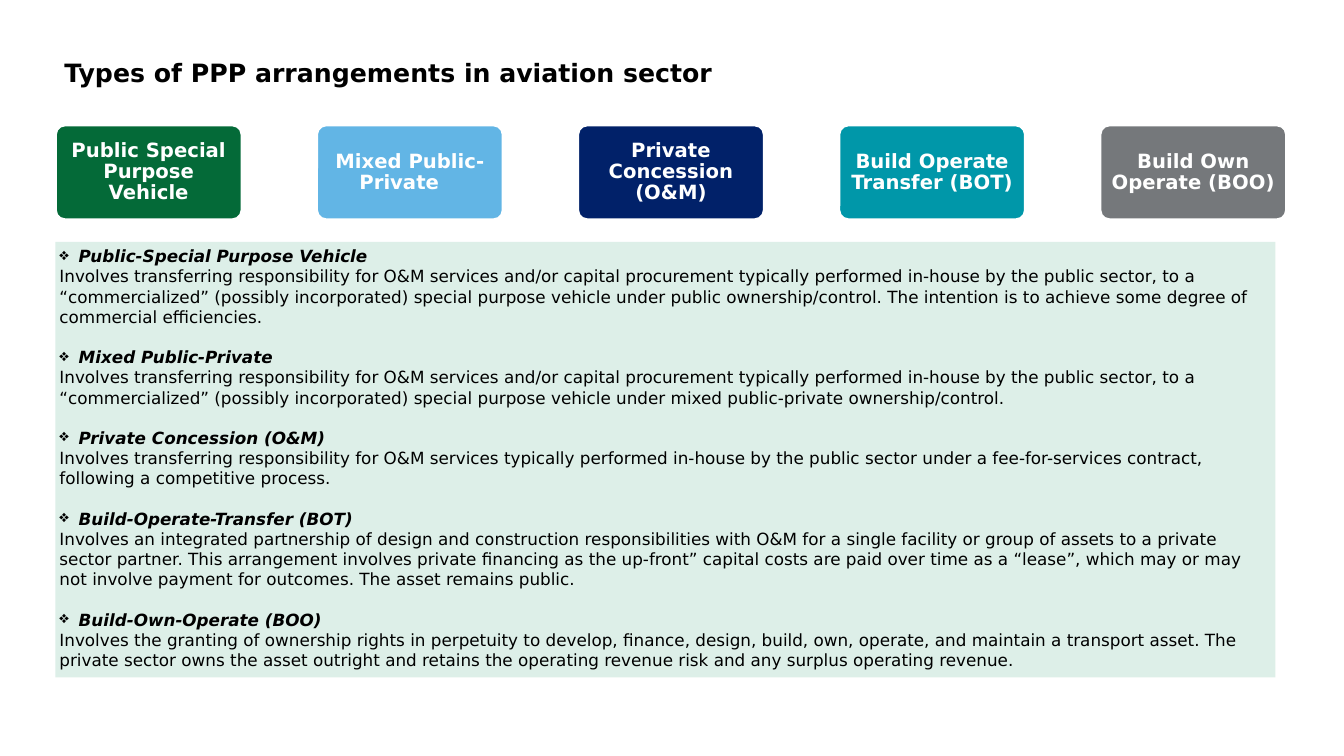
from pptx import Presentation
from pptx.dml.color import RGBColor
from pptx.enum.shapes import MSO_SHAPE
from pptx.enum.text import MSO_ANCHOR, PP_ALIGN
from pptx.util import Inches, Pt
from lxml import etree

FONT = "DejaVu Sans"


def color(value):
    return RGBColor.from_string(value)


def add_run(p, text, size, value, bold=False, italic=False):
    r = p.add_run()
    r.text = text
    r.font.name = FONT
    r.font.size = Pt(size)
    r.font.bold = bold
    r.font.italic = italic
    r.font.color.rgb = color(value)


prs = Presentation()
prs.slide_width = Inches(13.33)
prs.slide_height = Inches(7.5)
s = prs.slides.add_slide(prs.slide_layouts[6])

types = [
    ("Public Special Purpose Vehicle", "046A38"),
    ("Mixed Public-Private\t", "62B5E5"),
    ("Private Concession (O&M)", "012169"),
    ("Build Operate Transfer (BOT)", "0097A9"),
    ("Build Own Operate (BOO)", "75787B"),
]
for i, (name, fill) in enumerate(types):
    sp = s.shapes.add_shape(MSO_SHAPE.ROUNDED_RECTANGLE, Inches(0.55 + 2.59 * i),
                            Inches(1.24), Inches(1.85), Inches(0.94))
    sp.adjustments[0] = 0.1
    sp.shadow.inherit = False
    sp.fill.solid()
    sp.fill.fore_color.rgb = color(fill)
    sp.line.color.rgb = color("FFFFFF")
    sp.line.width = Pt(2)
    tf = sp.text_frame
    tf.word_wrap = True
    tf.vertical_anchor = MSO_ANCHOR.MIDDLE
    tf.margin_left = tf.margin_right = tf.margin_top = tf.margin_bottom = Inches(0.06)
    p = tf.paragraphs[0]
    p.alignment = PP_ALIGN.CENTER
    p.line_spacing = 0.9
    add_run(p, name, 14, "FFFFFF", bold=True)

sections = [
    ("Public-Special Purpose Vehicle",
     "Involves transferring responsibility for O&M services and/or capital procurement typically "
     "performed in-house by the public sector, to a “commercialized” (possibly incorporated) special "
     "purpose vehicle under public ownership/control. The intention is to achieve some degree of "
     "commercial efficiencies."),
    ("Mixed Public-Private",
     "Involves transferring responsibility for O&M services and/or capital procurement typically "
     "performed in-house by the public sector, to a “commercialized” (possibly incorporated) special "
     "purpose vehicle under mixed public-private ownership/control."),
    ("Private Concession (O&M)",
     "Involves transferring responsibility for O&M services typically performed in-house by the "
     "public sector under a fee-for-services contract, following a competitive process."),
    ("Build-Operate-Transfer (BOT)",
     "Involves an integrated partnership of design and construction responsibilities with O&M for a "
     "single facility or group of assets to a private sector partner. This arrangement involves "
     "private financing as the up-front” capital costs are paid over time as a “lease”, which may or "
     "may not involve payment for outcomes. The asset remains public."),
    ("Build-Own-Operate (BOO)",
     "Involves the granting of ownership rights in perpetuity to develop, finance, design, build, "
     "own, operate, and maintain a transport asset. The private sector owns the asset outright and "
     "retains the operating revenue risk and any surplus operating revenue."),
]
panel = s.shapes.add_shape(MSO_SHAPE.RECTANGLE, Inches(0.55), Inches(2.4),
                           Inches(12.1), Inches(4.32))
panel.shadow.inherit = False
panel.fill.solid()
panel.fill.fore_color.rgb = color("DDEFE8")
panel.line.fill.background()
tf = panel.text_frame
tf.word_wrap = True
tf.vertical_anchor = MSO_ANCHOR.TOP
tf.margin_left = tf.margin_right = tf.margin_top = tf.margin_bottom = Inches(0.04)
for i, (heading, body) in enumerate(sections):
    p = tf.add_paragraph() if i else tf.paragraphs[0]
    p.alignment = PP_ALIGN.LEFT
    if i:
        p.space_before = Pt(14.5)
    pPr = p._p.get_or_add_pPr()
    pPr.set("marL", str(Inches(0.19)))
    pPr.set("indent", str(-Inches(0.19)))
    bullet = etree.SubElement(pPr, pPr.tag.replace("pPr", "buChar"))
    bullet.set("char", "❖")
    add_run(p, heading, 12, "000000", bold=True, italic=True)
    p = tf.add_paragraph()
    p.alignment = PP_ALIGN.LEFT
    add_run(p, body, 12, "000000")

title = s.shapes.add_textbox(Inches(0.54), Inches(0.52), Inches(12.25), Inches(0.37))
tf = title.text_frame
tf.word_wrap = True
add_run(tf.paragraphs[0], "Types of PPP arrangements in aviation sector", 18, "000000", bold=True)

prs.save("out.pptx")
